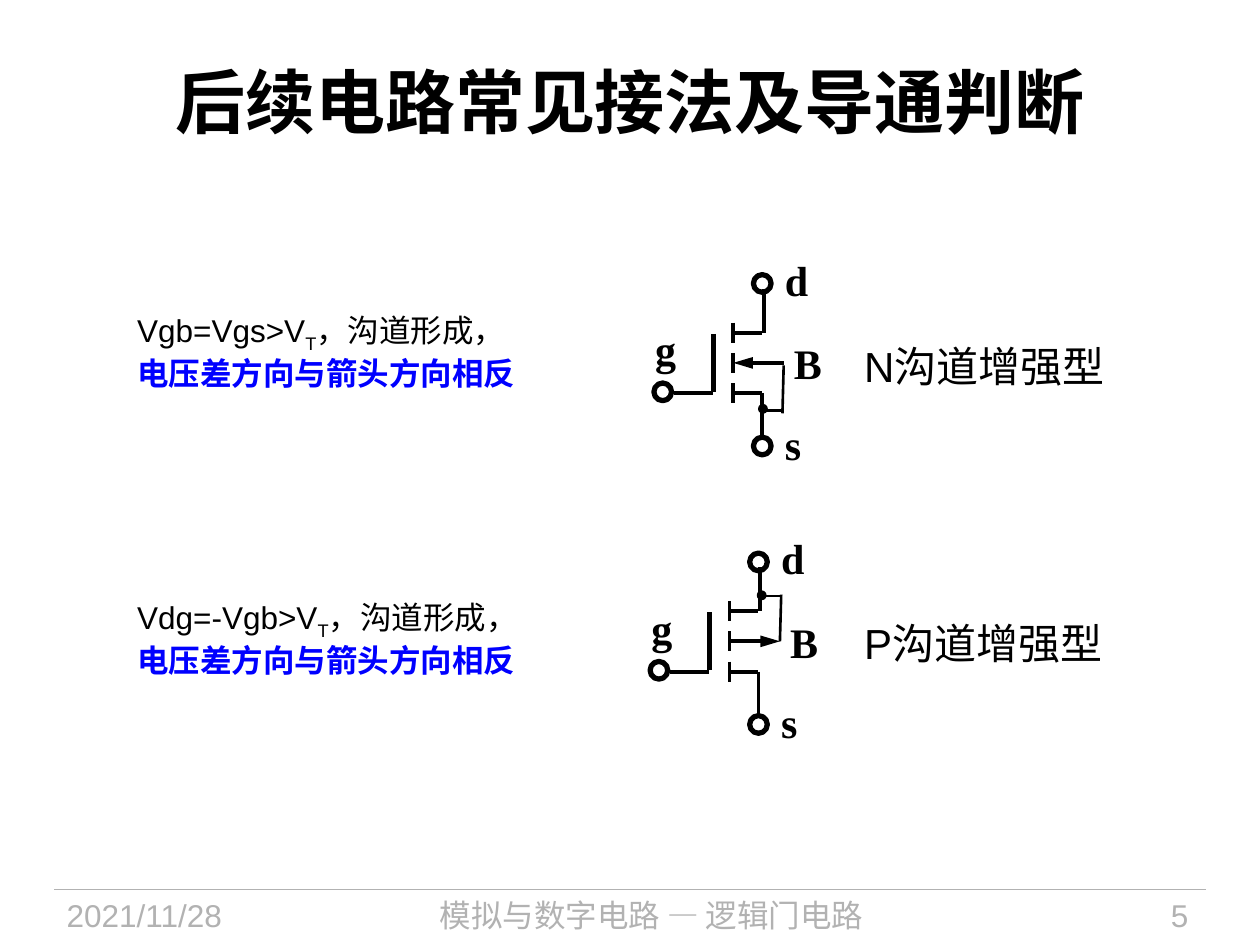
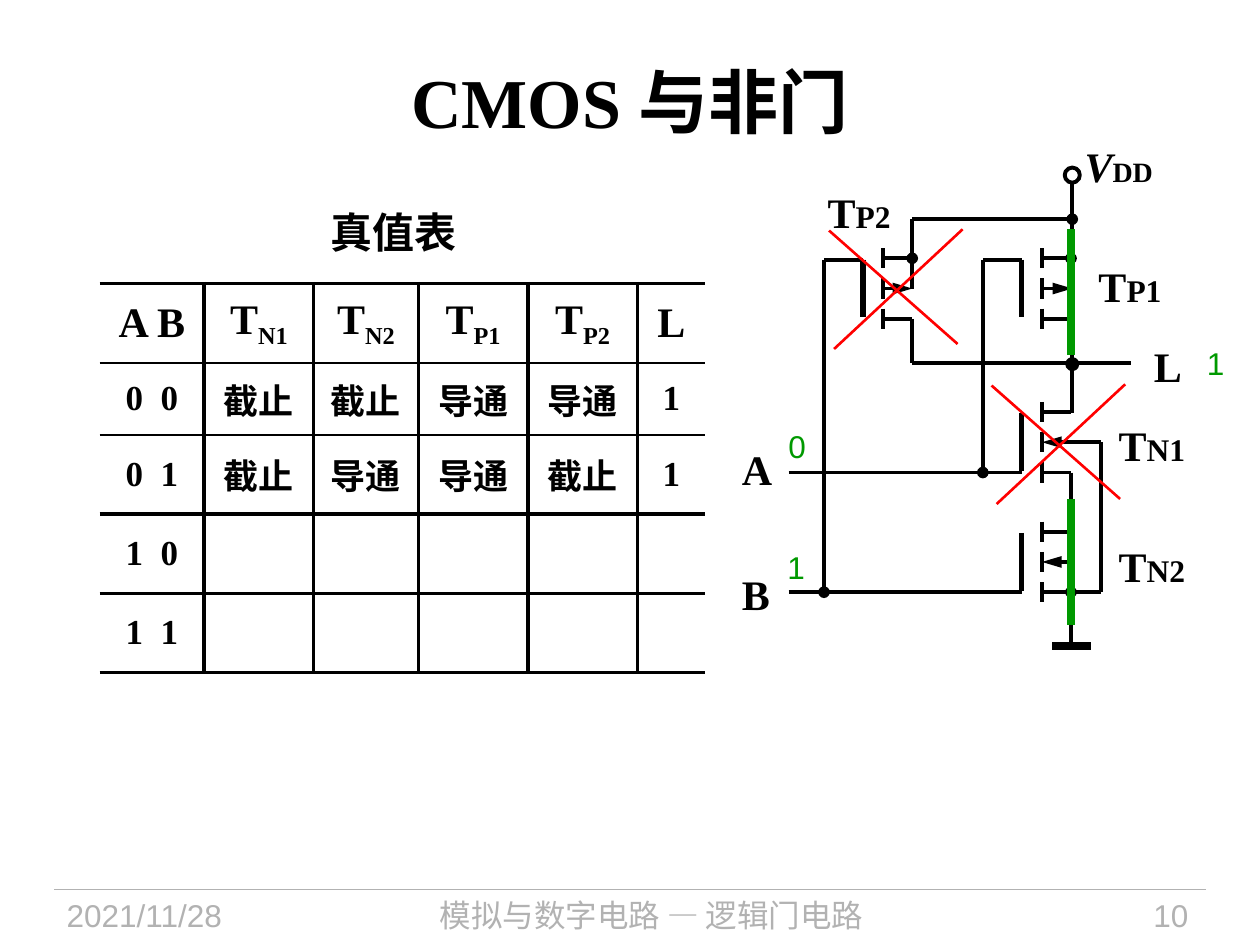
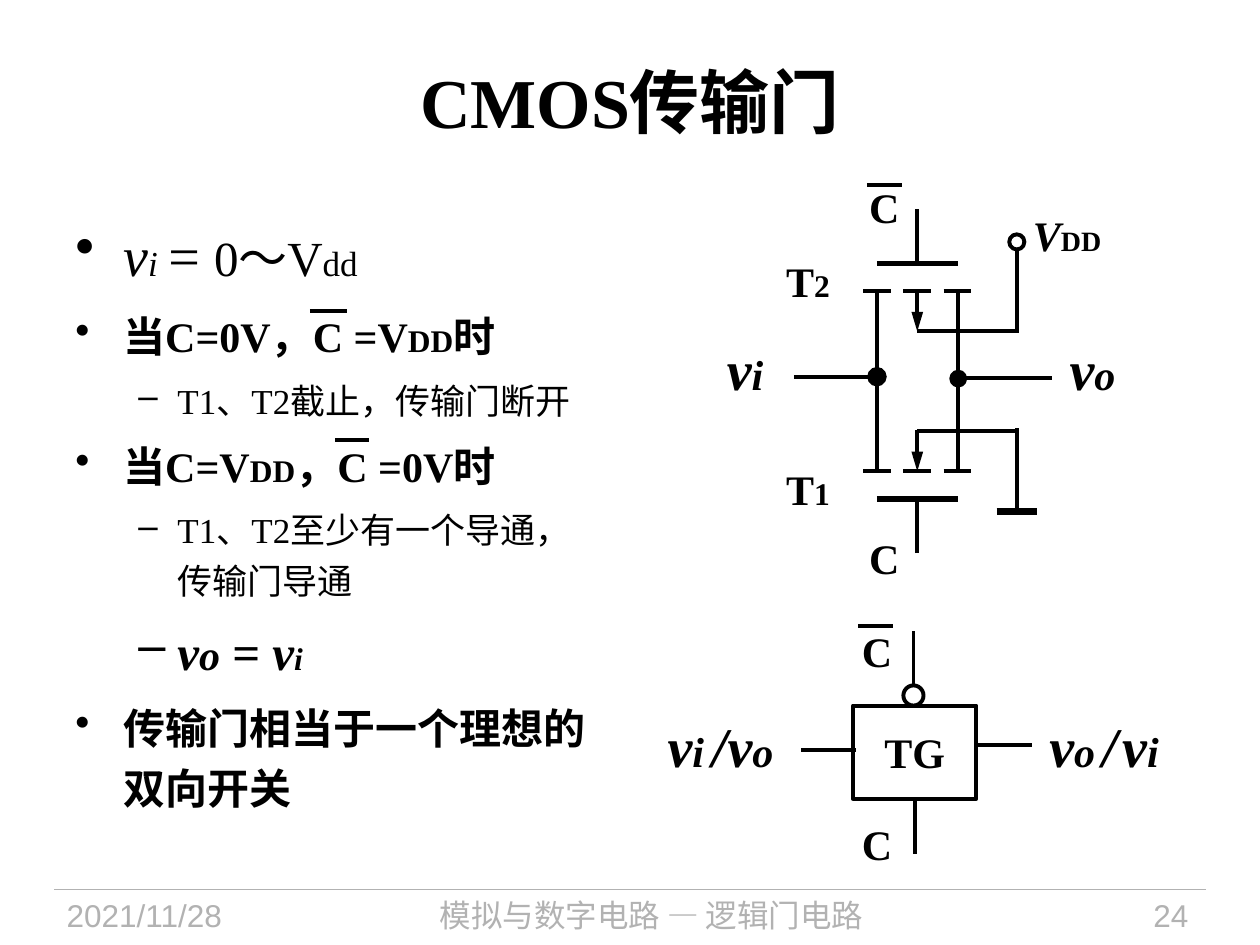
from lxml.etree import SubElement
from pptx import Presentation
from pptx.dml.color import RGBColor
from pptx.enum.shapes import MSO_CONNECTOR, MSO_SHAPE
from pptx.enum.text import MSO_ANCHOR, MSO_AUTO_SIZE, PP_ALIGN
from pptx.oxml.ns import qn
from pptx.util import Emu, Pt

PX = 9144
BLACK = RGBColor(0x00, 0x00, 0x00)
GRAY = RGBColor(0xB2, 0xB2, 0xB2)
BLUE = RGBColor(0x00, 0x00, 0xFF)
GREEN = RGBColor(0x00, 0x99, 0x00)
RED = RGBColor(0xFF, 0x00, 0x00)
SERIF = "Times New Roman"
SANS = "Arial"
CENTER = PP_ALIGN.CENTER
SMALL = {"size": 18}
SUB = {"base": -25}


def px(*values):
    return [Emu(v * PX) for v in values]


def add_run(p, text, size=24, bold=True, italic=False, color=BLACK, font=SERIF, base=0):
    r = p.add_run()
    r.text = text
    r.font.size = Pt(size)
    r.font.bold = bold
    r.font.italic = italic
    r.font.name = font
    r.font.color.rgb = color
    if base:
        r.font._element.set("baseline", str(base * 1000))


def add_paragraph(tf, runs, align=None, indent=None, bullet=None, spacing=None, after=None, **fmt):
    p = tf.paragraphs[0]
    if p.runs:
        p = tf.add_paragraph()
    p.alignment = align
    if spacing:
        p.line_spacing = spacing
    if after:
        p.space_after = Pt(after)
    pPr = p._p.get_or_add_pPr()
    if indent:
        left, first = px(*indent)
        pPr.set("marL", str(left))
        pPr.set("indent", str(first))
    if bullet:
        SubElement(pPr, qn("a:buChar")).set("char", bullet)
    for text, extra in [(runs, {})] if isinstance(runs, str) else runs:
        add_run(p, text, **{**fmt, **extra})


def set_border(cell, side, width):
    ln = SubElement(cell._tc.get_or_add_tcPr(), qn(f"a:ln{side}"))
    if width:
        ln.set("w", str(Pt(width)))
        fill = SubElement(ln, qn("a:solidFill"))
        SubElement(fill, qn("a:srgbClr")).set("val", str(BLACK))
    else:
        SubElement(ln, qn("a:noFill"))


class Deck:
    def __init__(self):
        self.prs = Presentation()
        self.prs.slide_width, self.prs.slide_height = px(1000, 750)
        self.s = None

    def slide(self, title, number):
        self.s = self.prs.slides.add_slide(self.prs.slide_layouts[6])
        self.line(43, 706, 957, 706, width=0.75, color=GRAY)
        self.text(50, 17, 900, 125, title, wrap=True, anchor=MSO_ANCHOR.MIDDLE,
                  align=CENTER, size=40)
        footers = ((43, 188, "2021/11/28", PP_ALIGN.LEFT),
                   (249, 536, "模拟与数字电路 — 逻辑门电路", CENTER),
                   (820, 133, str(number), PP_ALIGN.RIGHT))
        for x, w, text, align in footers:
            self.text(x, 706, w, 44, text, wrap=True, align=align, size=18,
                      bold=False, font=SANS, color=GRAY)

    def text(self, x, y, w, h, runs, wrap=False, inset=None, anchor=MSO_ANCHOR.TOP, **fmt):
        tf = self.s.shapes.add_textbox(*px(x, y, w, h)).text_frame
        tf.word_wrap = wrap
        tf.auto_size = MSO_AUTO_SIZE.NONE if wrap else MSO_AUTO_SIZE.SHAPE_TO_FIT_TEXT
        tf.vertical_anchor = anchor
        if inset is not None:
            tf.margin_left = tf.margin_top = tf.margin_right = tf.margin_bottom = Emu(inset * PX)
        if runs:
            add_paragraph(tf, runs, **fmt)
        return tf

    def line(self, x1, y1, x2, y2, width=2.25, color=BLACK, head=None, tail=None, size="lg"):
        c = self.s.shapes.add_connector(MSO_CONNECTOR.STRAIGHT, *px(x1, y1, x2, y2))
        c.line.width = Pt(width)
        c.line.color.rgb = color
        ln = c.line._get_or_add_ln()
        for end, kind in (("headEnd", head), ("tailEnd", tail)):
            if kind:
                mark = SubElement(ln, qn(f"a:{end}"))
                mark.set("type", kind)
                mark.set("w", size if kind == "oval" else "med")
                mark.set("len", size)
        SubElement(c._element.spPr, qn("a:effectLst"))
        return c

    def shape(self, kind, x, y, w, h, width=2.25, fill=None):
        sp = self.s.shapes.add_shape(kind, *px(x, y, w, h))
        sp.shadow.inherit = False
        sp.line.color.rgb = BLACK
        sp.line.width = Pt(width)
        if fill is None:
            sp.fill.background()
        else:
            sp.fill.solid()
            sp.fill.fore_color.rgb = fill
        return sp

    def circle(self, x, y, d, **style):
        return self.shape(MSO_SHAPE.OVAL, x, y, d, d, **style)

    def transistor(self, x, y, p_type, reach, gate, node=None):
        for dy in (-24, 0, 24):
            self.line(x, y + dy - 8, x, y + dy + 8)
        self.line(x - 16, y - 23, x - 16, y + 23, width=3)
        for dy in (-24, 24):
            self.line(x, y + dy, x + 23, y + dy, tail="oval" if dy == node else None, size="med")
        arrow = {"tail" if p_type else "head": "triangle"}
        self.line(x, y, x + reach, y, **arrow)
        self.line(x - 47, y + gate, x - 16, y + gate)

    def cross(self, x, y):
        self.line(x, y, x + 102, y + 90, width=1.5, color=RED)
        self.line(x + 4, y + 94, x + 106, y - 1, width=1.5, color=RED)

    def table(self, x, y, columns, heights, rows, rules):
        tbl = self.s.shapes.add_table(len(heights), len(columns),
                                      *px(x, y, sum(columns), sum(heights))).table
        tbl.first_row = tbl.horz_banding = False
        for column, w in zip(tbl.columns, columns):
            column.width = Emu(w * PX)
        for i, (row, h) in enumerate(zip(rows, heights)):
            tbl.rows[i].height = Emu(h * PX)
            for j, runs in enumerate(row):
                cell = tbl.cell(i, j)
                cell.margin_left = cell.margin_top = cell.margin_right = cell.margin_bottom = 0
                cell.vertical_anchor = MSO_ANCHOR.MIDDLE
                set_border(cell, "L", 2.25 if j else 0)
                set_border(cell, "R", 2.25 if j < len(columns) - 1 else 0)
                set_border(cell, "T", rules[i])
                set_border(cell, "B", rules[i + 1])
                cell.fill.background()
                if runs:
                    add_paragraph(cell.text_frame, runs, align=CENTER, size=20 if i else 24)


def mosfet_slide(deck):
    deck.slide("后续电路常见接法及导通判断", 5)
    devices = ((582, 288, False, "N沟道增强型", 265, "Vgb=Vgs>V", 242),
               (579, 509, True, "P沟道增强型", 485, "Vdg=-Vgb>V", 470))
    for x, y, p_type, name, name_y, condition, rule_y in devices:
        deck.text(626, name_y, 276, 55, name, wrap=True, indent=(81, -31), bold=False, font=SANS)
        deck.transistor(x, y, p_type, 40, 24)
        deck.line(x + 23, y + 24, x + 23, y + 59)
        deck.line(x + 24, y - 59, x + 24, y - 24)
        for dx, dy in ((-63, 16), (16, 59), (16, -70)):
            deck.circle(x + dx, y + dy, 14, width=3)
        for letter, dx, dy, w in (("g", -62, -31, 17), ("s", 41, 44, 13),
                                  ("d", 41, -86, 19), ("B", 48, -20, 22)):
            deck.text(x + dx, y + dy, w, 40, letter, inset=0)
        tf = deck.text(99, rule_y, 392, 71, [(condition, {}), ("T", SUB), ("，沟道形成，", {})],
                       wrap=True, size=18, bold=False, font=SANS)
        add_paragraph(tf, "电压差方向与箭头方向相反", size=18, font=SANS, color=BLUE)
    deck.line(620, 472, 619, 509, width=1.5)
    deck.line(605, 473, 619, 473, width=1.5)
    deck.circle(602, 470, 5, width=2, fill=BLACK)
    deck.line(622, 290, 621, 328, width=1.5)
    deck.line(608, 326, 622, 326, width=1.5)
    deck.circle(603, 322, 5, width=2, fill=BLACK)


def nand_slide(deck):
    deck.slide("CMOS 与非门", 10)
    deck.transistor(827, 446, False, 23, 24, node=24)
    deck.transistor(827, 351, False, 47, 24)
    deck.transistor(701, 229, True, 23, -23, node=-24)
    deck.transistor(827, 229, True, 24, -23, node=-24)
    wires = ((851, 144, 851, 229), (851, 253, 851, 328), (850, 375, 850, 422),
             (850, 446, 850, 513), (724, 174, 724, 229), (724, 253, 724, 288),
             (724, 288, 898, 288), (626, 375, 784, 375), (626, 470, 784, 470),
             (851, 470, 874, 470), (874, 351, 874, 470))
    for wire in wires:
        deck.line(*wire)
    for wire in ((724, 174, 851, 174), (654, 206, 654, 470), (780, 206, 780, 375)):
        deck.line(*wire, tail="oval", size="med")
    deck.line(835, 513, 866, 513, width=4.5)
    deck.circle(845, 133, 12)
    deck.circle(847, 285, 8, fill=BLACK)
    deck.text(851, 107, 74, 50, [("V", {"italic": True}), ("DD", {"size": 16})])
    for name, x, y in (("P1", 862, 202), ("P2", 647, 143), ("N1", 878, 328), ("N2", 878, 424)):
        deck.text(x, y, 73, 50, [("T", {}), (name, SMALL)])
    for name, x, y in (("L", 906, 265), ("A", 579, 347), ("B", 579, 446)):
        deck.text(x, y, 44, 50, name)
    deck.cross(787, 306)
    deck.cross(658, 183)
    for y in (182, 396):
        deck.line(850, y, 850, y + 100, width=4.5, color=GREEN)
    for level, x, y in (("0", 616, 334), ("1", 615, 430), ("1", 948, 268)):
        deck.text(x, y, 34, 40, level, size=18, bold=False, font=SANS, color=GREEN)
    deck.text(260, 162, 104, 42, "真值表", inset=2)
    header = ["A B", *([("T", {}), (n, SUB)] for n in ("N1", "N2", "P1", "P2")), "L"]
    rows = [header,
            ["0  0", "截止", "截止", "导通", "导通", "1"],
            ["0  1", "截止", "导通", "导通", "截止", "1"],
            ["1  0"] + [""] * 5,
            ["1  1"] + [""] * 5]
    deck.table(79, 225, (83, 87, 83, 87, 87, 54), (63, 57, 63, 63, 63), rows,
               (2.25, 1.5, 1.5, 2.25, 1.5, 2.25))


def transmission_gate_slide(deck):
    deck.slide("CMOS传输门", 24)
    tf = deck.text(50, 159, 434, 539, None, wrap=True)
    plain = {"bold": False}
    items = (
        (0, 32, [("v", {"italic": True, **plain}), ("i", {"size": 20, "italic": True, **plain}),
                 (" ", {"size": 24}), ("= ", plain), ("0～V", {"size": 28, **plain}),
                 ("dd", {"size": 20, **plain})]),
        (0, 24, [("当C=0V，C =V", {}), ("DD", SMALL), ("时", {})]),
        (1, 20, [("T1、T2截止，传输门断开", plain)]),
        (0, 24, [("当C=V", {}), ("DD", SMALL), ("，C =0V时", {})]),
        (1, 20, [("T1、T2至少有一个导通，传输门导通", plain)]),
        (1, 28, [("v", {"italic": True}), ("o", {"size": 24, "italic": True}), (" = ", {}),
                 ("v", {"italic": True}), ("i", {"size": 18, "italic": True})]),
        (0, 24, "传输门相当于一个理想的双向开关"))
    for level, size, runs in items:
        add_paragraph(tf, runs, indent=(81, -31) if level else (38, -38),
                      bullet="–" if level else "•", spacing=1.2, after=0.24 * size, size=size)
    for x, y, w in ((246, 247, 29), (266, 349, 27), (688, 147, 28), (681, 497, 28)):
        deck.line(x, y, x + w, y)

    for y, d in ((231, 1), (374, -1)):
        for x in (685, 717, 749):
            deck.line(x, y, x + 22, y)
        deck.line(696, y - 22 * d, 760, y - 22 * d, width=3)
        deck.line(728, y - 65 * d, 728, y - 22 * d)
        deck.line(728, y + 32 * d, 807, y + 32 * d)
    deck.line(728, 231, 728, 263, tail="triangle")
    deck.line(728, 341, 728, 374, tail="triangle")
    for x in (696, 760):
        deck.line(x, 231, x, 374)
    deck.line(807, 198, 807, 264)
    deck.line(807, 340, 807, 406)
    deck.line(791, 406, 823, 406, width=4.5)
    deck.circle(801, 186, 12)
    deck.line(630, 299, 696, 299, tail="oval")
    deck.line(761, 300, 835, 300)
    deck.circle(755, 295, 11, fill=BLACK)
    deck.text(810, 161, 74, 50, [("V", {"italic": True}), ("DD", {"size": 16})])
    for y in (139, 418):
        deck.text(680, y, 44, 50, "C")
    for number, y in (("1", 363), ("2", 198)):
        deck.text(614, y, 55, 50, [("T", {}), (number, SMALL)])

    tg = deck.shape(MSO_SHAPE.RECTANGLE, 677, 560, 98, 74)
    tg.text_frame.word_wrap = False
    tg.text_frame.vertical_anchor = MSO_ANCHOR.MIDDLE
    add_paragraph(tg.text_frame, "TG", align=CENTER)
    deck.circle(717, 544, 16)
    deck.line(725, 501, 725, 544)
    deck.line(726, 634, 726, 678).begin_connect(tg, 2)
    deck.line(636, 595, 679, 595)
    deck.line(776, 591, 819, 591)
    for y in (501, 654):
        deck.text(681, y, 30, 36, "C", wrap=True, inset=0, align=CENTER, spacing=0.9)

    sub = {"size": 24}
    vi, vo = [("v", {}), ("i", sub)], [("v", {}), ("o", sub)]
    signals = ((567, 261, 55, vi + [(" ", SMALL)]),
               (839, 261, 57, vo),
               (520, 560, 110, vi + [(" ", SMALL), ("/", {})] + vo + [(" ", SMALL)]),
               (823, 560, 113, vo + [(" ", {"size": 16}), ("/", {}), (" ", {"size": 10})]
                + vi + [(" ", SMALL)]))
    for x, y, w, runs in signals:
        deck.text(x, y, w, 63, runs, size=32, italic=True)


def main():
    deck = Deck()
    mosfet_slide(deck)
    nand_slide(deck)
    transmission_gate_slide(deck)
    deck.prs.save("out.pptx")


if __name__ == "__main__":
    main()
